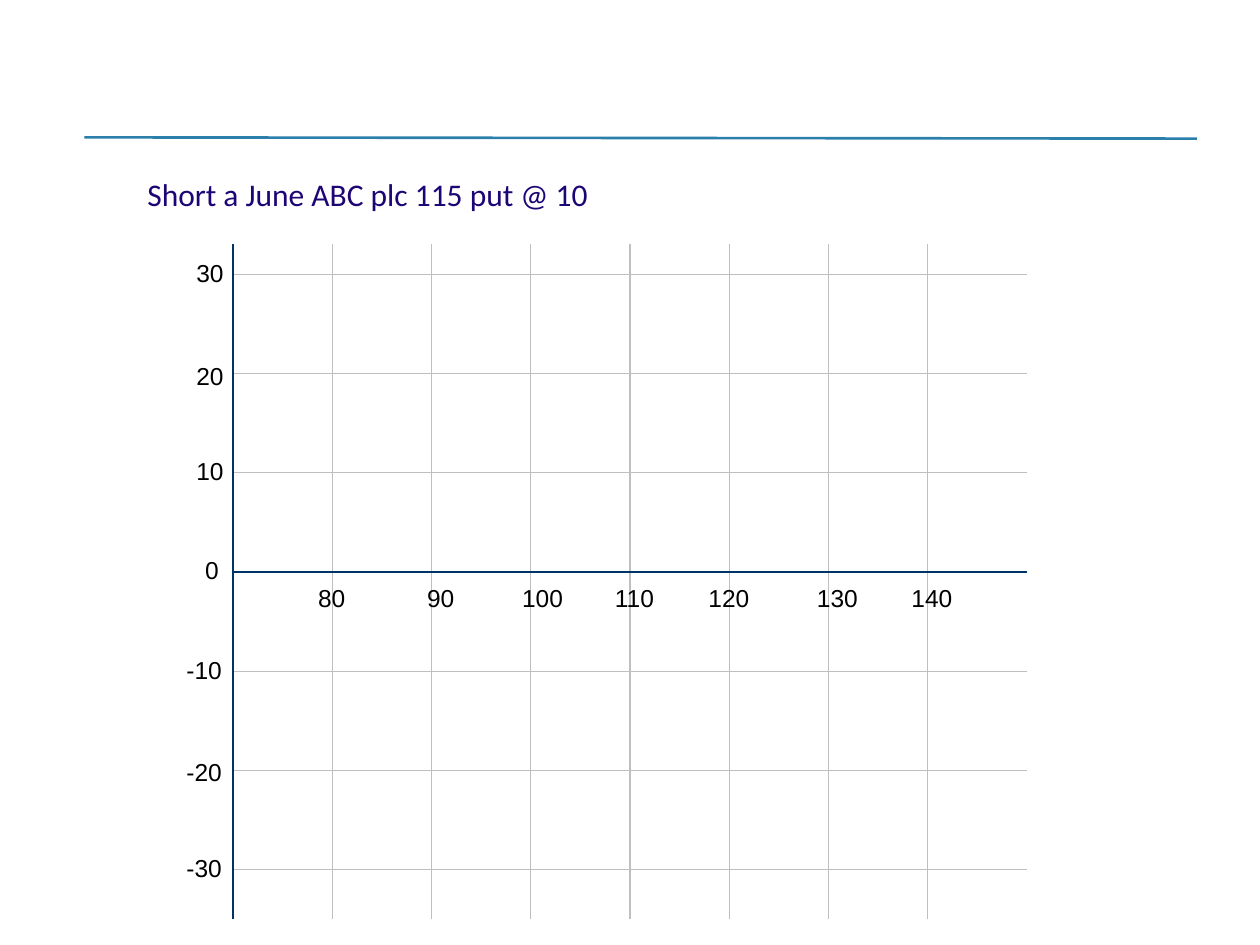
from dataclasses import dataclass

from lxml import etree
from pptx import Presentation
from pptx.dml.color import RGBColor
from pptx.enum import shapes, text
from pptx.oxml import ns
from pptx.util import Pt


@dataclass(frozen=True)
class Theme:
    rule: str = "2A7FAB"
    grid: str = "BFBFBF"
    axis: str = "003366"
    lead: str = "1E0576"
    ink: str = "000000"
    head: str = "Calibri"
    body: str = "Arial"
    big: int = 18
    small: int = 14


THEME = Theme()

# Plot area, in points
LEFT, RIGHT = 133.2, 586.8
TOP, BASE, FOOT = 139.7, 326.9, 524.9
STEP = 56.7


def add_line(slide, x1, y1, x2, y2, color, width=0.75):
    line = slide.shapes.add_connector(
        shapes.MSO_CONNECTOR.STRAIGHT, Pt(x1), Pt(y1), Pt(x2), Pt(y2))
    line.line.color.rgb = RGBColor.from_string(color)
    line.line.width = Pt(width)
    etree.SubElement(line._element.spPr, ns.qn("a:effectLst"))


def put_text(shape, words, *, font=THEME.body, size=THEME.small,
             color=THEME.ink, inset=None, indent=None, tabs=()):
    frame = shape.text_frame
    frame.word_wrap = True
    frame.auto_size = text.MSO_AUTO_SIZE.NONE
    frame.vertical_anchor = text.MSO_ANCHOR.TOP
    if inset is not None:
        frame.margin_left = frame.margin_right = Pt(inset)
        frame.margin_top = frame.margin_bottom = Pt(inset)
    para = frame.paragraphs[0]
    para.text = words
    para.space_before = Pt(0)
    props = para._p.get_or_add_pPr()
    if indent is not None:
        props.set("marL", str(Pt(indent)))
        props.set("indent", "0")
        etree.SubElement(props, ns.qn("a:buNone"))
    if tabs:
        stops = etree.SubElement(props, ns.qn("a:tabLst"))
        for stop in tabs:
            etree.SubElement(stops, ns.qn("a:tab"), pos=str(Pt(stop)), algn="ctr")
    para.font.name = font
    para.font.size = Pt(size)
    para.font.color.rgb = RGBColor.from_string(color)


def add_label(slide, words, x, y, w, h, **style):
    box = slide.shapes.add_textbox(Pt(x), Pt(y), Pt(w), Pt(h))
    put_text(box, words, **style)


def place_lead(slide):
    slide.shapes.title._element.getparent().remove(slide.shapes.title._element)
    body = slide.placeholders[1]
    body.left, body.top = Pt(48.2), Pt(100.1)
    body.width, body.height = Pt(632.2), Pt(356.4)
    put_text(body, "Short a June ABC plc 115 put @ 10", font=THEME.head,
             size=THEME.big, color=THEME.lead, inset=0, indent=36)


def draw_grid(slide):
    for col in range(1, 8):
        x = LEFT + col * STEP
        add_line(slide, x, TOP, x, FOOT, THEME.grid)
    for row in (1, 2, 3, -1, -2, -3):
        y = BASE - row * STEP
        add_line(slide, LEFT, y, RIGHT, y, THEME.grid)
    add_line(slide, LEFT, TOP, LEFT, FOOT, THEME.axis)
    add_line(slide, LEFT, BASE, RIGHT, BASE, THEME.axis)


def label_axes(slide):
    # Profit scale: two-digit, zero and negative values start apart
    for row in range(3, -4, -1):
        x = 99.4 if row < 0 else 105.1 if row else 110.2
        drop = 2 if abs(row) == 2 else 0
        add_label(slide, str(row * 10), x, BASE - row * STEP - 13 + drop,
                  39.6 if row < 0 else 33.8, 24.5)
    # Price scale: one row of text on centred tab stops
    prices = "".join(f"\t{price}" for price in range(80, 150, 10))
    add_label(slide, prices, 144, 329.5, 470.9, 26.6,
              tabs=(38.5, 100.8, 159, 211.5, 265.5, 327.5, 381.5))


def main():
    deck = Presentation()
    deck.slide_width, deck.slide_height = Pt(720), Pt(540)
    slide = deck.slides.add_slide(deck.slide_layouts[1])

    # Header rule and lead line
    add_line(slide, 48.2, 78.5, 684, 79.2, THEME.rule, 1.5)
    place_lead(slide)

    # Empty payoff diagram
    draw_grid(slide)
    label_axes(slide)
    deck.save("out.pptx")


if __name__ == "__main__":
    main()
